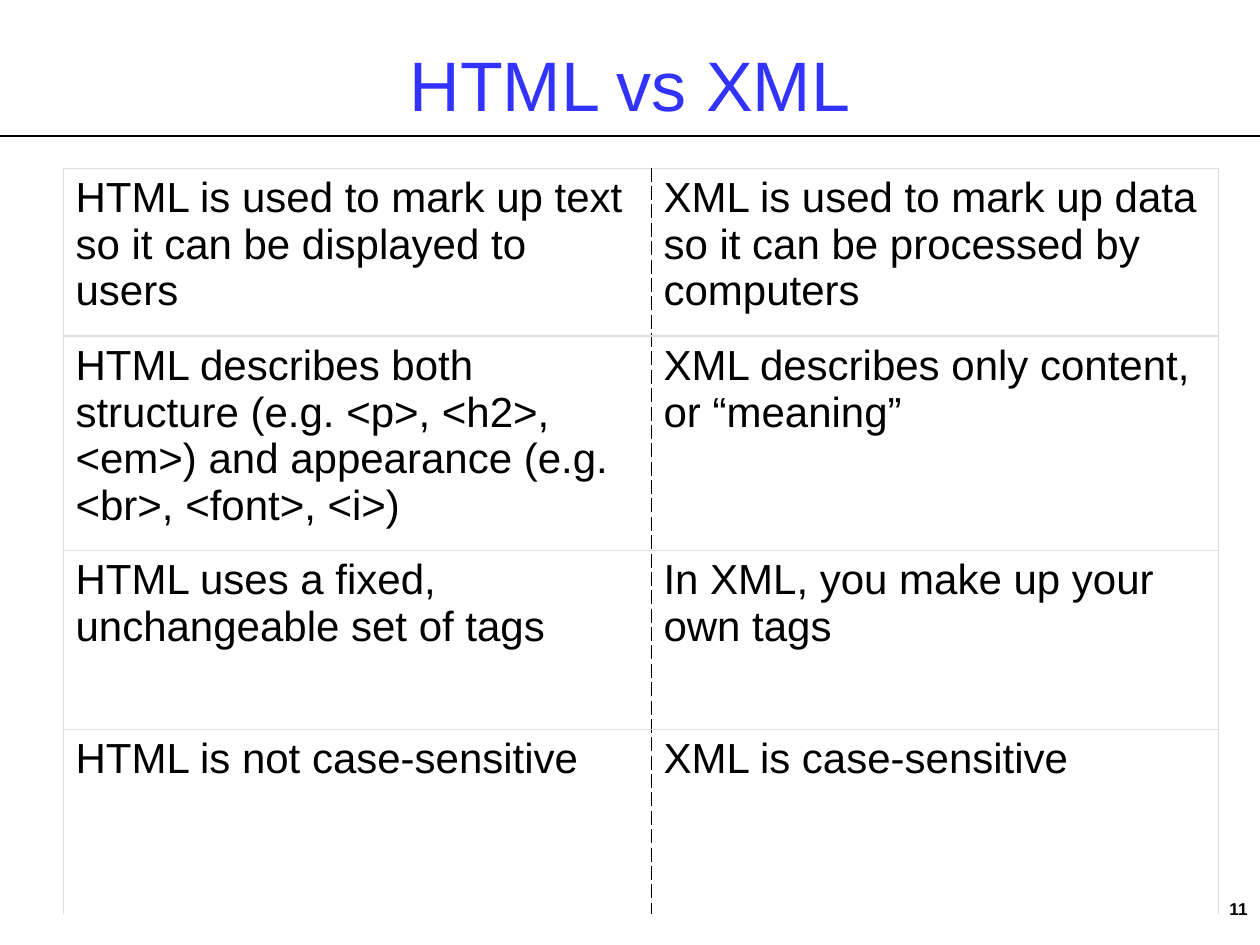
"""Build the HTML vs XML comparison slide."""
from dataclasses import dataclass
from typing import Optional

from lxml import etree
from pptx import Presentation, util as u
from pptx.dml.color import RGBColor
from pptx.enum import shapes, text
from pptx.oxml import ns

PX_PER_INCH = 126


@dataclass(frozen=True)
class Theme:
    font: str = "Arial"
    ink: str = "000000"
    title: str = "3333FF"
    grid: str = "DDDDDD"
    title_size: float = 40
    body_size: float = 24
    number_size: float = 9.8
    rule_width: float = 0.75
    thin_width: float = 0.45


@dataclass(frozen=True)
class Box:
    left: int
    top: int
    width: int
    height: int


@dataclass(frozen=True)
class Label:
    wording: str
    box: Box
    size: float
    color: str
    align: text.PP_ALIGN
    anchor: text.MSO_ANCHOR
    bold: bool = False


@dataclass(frozen=True)
class Row:
    height: int
    html: str
    xml: str
    space_before: int = 15


@dataclass(frozen=True)
class Border:
    color: str
    width: float
    dash: str = "solid"


THEME = Theme()
LABELS = (
    Label("11", Box(966, 892, 294, 34), THEME.number_size, THEME.ink,
          text.PP_ALIGN.RIGHT, text.MSO_ANCHOR.TOP, True),
    Label("HTML vs XML", Box(63, 21, 1134, 126), THEME.title_size, THEME.title,
          text.PP_ALIGN.CENTER, text.MSO_ANCHOR.MIDDLE),
)
COLUMNS = (588, 567)
ROWS = (
    Row(168, "HTML is used to mark up text so it can be displayed to users",
        "XML is used to mark up data so it can be processed by computers"),
    Row(214, "HTML describes both structure (e.g. <p>, <h2>, <em>) and "
        "appearance (e.g. <br>, <font>, <i>)",
        "XML describes only content, or “meaning”"),
    Row(179, "HTML uses a fixed, unchangeable set of tags",
        "In XML, you make up your own tags"),
    Row(185, "HTML is not case-sensitive", "XML is case-sensitive", 6),
)
OUTER = Border(THEME.grid, THEME.thin_width)
INNER = Border(THEME.grid, THEME.rule_width)
DIVIDER = Border(THEME.ink, THEME.thin_width, "dash")


def px(length: int) -> u.Emu:
    return u.Emu(round(length * u.Inches(1) / PX_PER_INCH))


def add_run(paragraph, wording: str, size: float, color: str, bold: bool = False) -> None:
    run = paragraph.add_run()
    run.text = wording
    run.font.name = THEME.font
    run.font.size = u.Pt(size)
    run.font.bold = bold
    run.font.color.rgb = RGBColor.from_string(color)


def draw_label(slide, label: Label) -> None:
    box = label.box
    shape = slide.shapes.add_textbox(px(box.left), px(box.top), px(box.width), px(box.height))
    frame = shape.text_frame
    frame.word_wrap = True
    frame.vertical_anchor = label.anchor
    paragraph = frame.paragraphs[0]
    paragraph.alignment = label.align
    add_run(paragraph, label.wording, label.size, label.color, label.bold)


def draw_rule(slide, top: int, width: int) -> None:
    rule = slide.shapes.add_connector(
        shapes.MSO_CONNECTOR.STRAIGHT, 0, px(top), px(width), px(top))
    rule.line.width = u.Pt(THEME.rule_width)
    rule.line.color.rgb = RGBColor.from_string(THEME.ink)
    etree.SubElement(rule.element.spPr, ns.qn("a:effectLst"))


def set_border(cell, side: str, border: Optional[Border]) -> None:
    properties = cell._tc.get_or_add_tcPr()
    line = etree.SubElement(properties, ns.qn(f"a:ln{side}"))
    if border is None:
        etree.SubElement(line, ns.qn("a:noFill"))
        return
    line.set("w", str(int(u.Pt(border.width))))
    fill = etree.SubElement(line, ns.qn("a:solidFill"))
    etree.SubElement(fill, ns.qn("a:srgbClr"), val=border.color)
    etree.SubElement(line, ns.qn("a:prstDash"), val=border.dash)


def fill_cell(cell, wording: str, space_before: int) -> None:
    cell.margin_left = cell.margin_right = u.Inches(0.1)
    cell.margin_top = cell.margin_bottom = u.Inches(0.05)
    cell.vertical_anchor = text.MSO_ANCHOR.TOP
    paragraph = cell.text_frame.paragraphs[0]
    paragraph.space_before = u.Pt(space_before)
    add_run(paragraph, wording, THEME.body_size, THEME.ink)


def draw_comparison(slide, left: int, top: int) -> None:
    height = sum(row.height for row in ROWS)
    table = slide.shapes.add_table(
        len(ROWS), len(COLUMNS), px(left), px(top), px(sum(COLUMNS)), px(height)).table
    table.first_row = table.horz_banding = False
    for column, width in zip(table.columns, COLUMNS):
        column.width = px(width)
    for row_index, row in enumerate(ROWS):
        table.rows[row_index].height = px(row.height)
        for column_index, wording in enumerate((row.html, row.xml)):
            cell = table.cell(row_index, column_index)
            fill_cell(cell, wording, row.space_before)
            set_border(cell, "L", DIVIDER if column_index else OUTER)
            set_border(cell, "R", OUTER if column_index else DIVIDER)
            set_border(cell, "T", INNER if row_index else OUTER)
            set_border(cell, "B", INNER if row_index < len(ROWS) - 1 else None)
            cell.fill.background()


def main() -> None:
    presentation = Presentation()
    presentation.slide_width, presentation.slide_height = px(1260), px(945)
    slide = presentation.slides.add_slide(presentation.slide_layouts[6])
    draw_rule(slide, 136, 1260)
    for label in LABELS:
        draw_label(slide, label)
    draw_comparison(slide, 63, 168)
    presentation.save("out.pptx")


if __name__ == "__main__":
    main()
